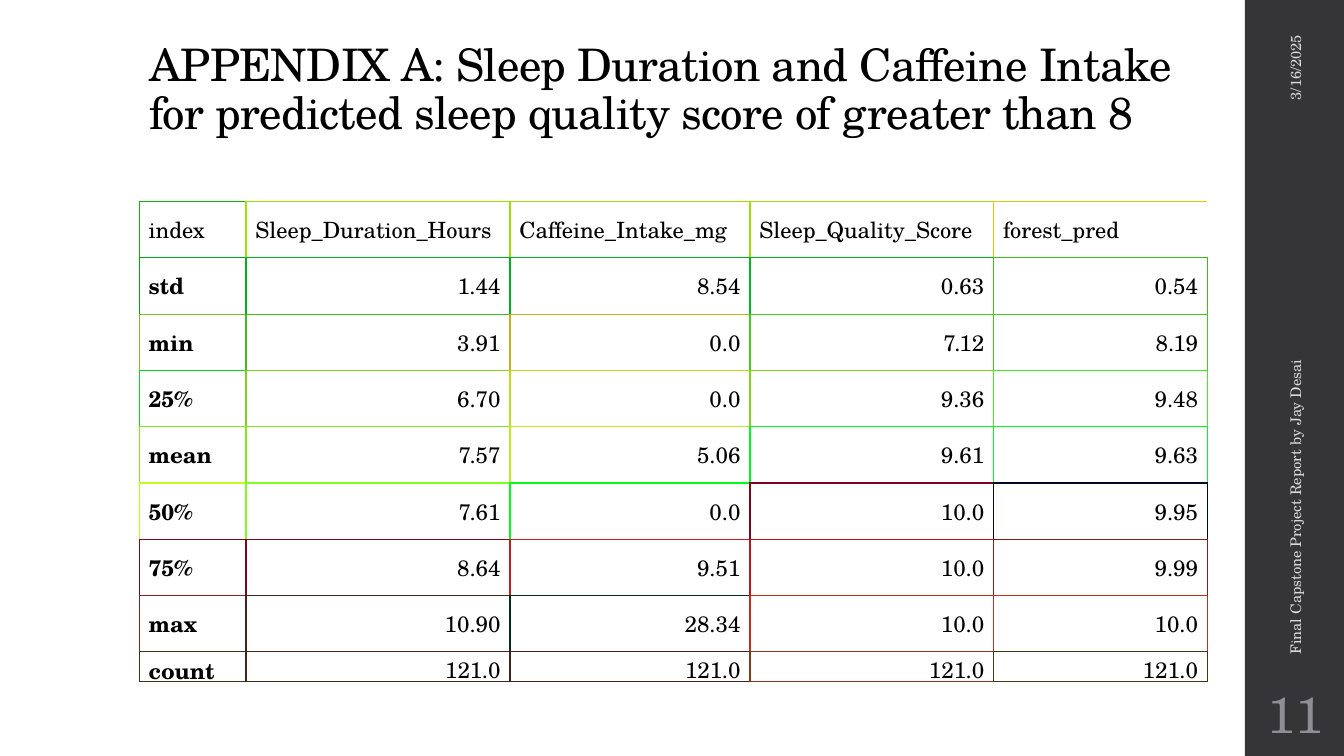
from lxml import etree
from pptx import Presentation
from pptx.dml.color import RGBColor
from pptx.enum import shapes, text
from pptx.oxml import ns
from pptx.util import Pt

FONT = "TeX Gyre Schola"
COLUMN_WIDTHS = [76.3, 188.6, 171.4, 174.2, 152.7]
ROW_HEIGHTS = [40.2] * 8 + [20.9]

STATISTICS = [
    ["index", "Sleep_Duration_Hours", "Caffeine_Intake_mg", "Sleep_Quality_Score", "forest_pred"],
    ["std", "1.44", "8.54", "0.63", "0.54"],
    ["min", "3.91", "0.0", "7.12", "8.19"],
    ["25%", "6.70", "0.0", "9.36", "9.48"],
    ["mean", "7.57", "5.06", "9.61", "9.63"],
    ["50%", "7.61", "0.0", "10.0", "9.95"],
    ["75%", "8.64", "9.51", "10.0", "9.99"],
    ["max", "10.90", "28.34", "10.0", "10.0"],
    ["count", "121.0", "121.0", "121.0", "121.0"],
]

# Each cell's left and top edge; its neighbours give the other two
EDGE_COLOURS = [
    ["10B204", "A0E004", "A0DB04", "A0DB04", "D0CE04"],
    ["00A81D", "00B01D", "00AF1D", "00B81D", "40BC1D"],
    ["80BD1D", "40BC1D", "C0B31D", "40CD1D", "40CB1D"],
    ["00DC1D", "80D21D", "C0DA1D", "80D41D", "40ED1D"],
    ["80E71D", "80EA1D", "C0EB1D", "00F61D", "00F91D"],
    ["C0FD1D", "80FC1D", "00FB1D", "80041E", "000A1E"],
    ["80041E", "80041E", "C01B1E", "C0131E", "801E1E"],
    ["80261E", "40251E", "002E1E", "C02D1C", "C02D1C"],
    ["40301C", "40261C", "40231C", "803B1C", "40371C"],
]


def colour(value):
    return RGBColor.from_string(value)


def write(frame, words, size, ink, align=text.PP_ALIGN.LEFT, bold=False):
    frame.text = words
    paragraph = frame.paragraphs[0]
    paragraph.alignment = align
    font = paragraph.runs[0].font
    font.name, font.size, font.bold = FONT, Pt(size), bold
    font.color.rgb = colour(ink)
    return paragraph


def place(shape, left, top, width, height):
    shape.left, shape.top = Pt(left), Pt(top)
    shape.width, shape.height = Pt(width), Pt(height)


def add_title(slide, words):
    title = slide.shapes.title
    place(title, 99.4, 28.8, 763.2, 74.2)
    frame = title.text_frame
    frame.word_wrap = True
    frame.auto_size = text.MSO_AUTO_SIZE.NONE
    frame.vertical_anchor = text.MSO_ANCHOR.BOTTOM
    paragraph = write(frame, words, 32, "000000")
    paragraph.line_spacing = 0.9
    paragraph.runs[0].font._element.set("spc", "-50")


def add_sidebar(slide):
    sidebar = slide.shapes.add_shape(
        shapes.MSO_SHAPE.RECTANGLE, Pt(889.2), Pt(0), Pt(70.8), Pt(540))
    sidebar.shadow.inherit = False
    sidebar.fill.solid()
    sidebar.fill.fore_color.rgb = colour("353537")
    sidebar.line.fill.background()


def add_label(slide, words, box, size, ink, align, rotation=0, inset=None):
    label = slide.shapes.add_textbox(*map(Pt, box))
    label.rotation = rotation
    frame = label.text_frame
    frame.word_wrap = True
    frame.vertical_anchor = text.MSO_ANCHOR.MIDDLE
    if inset is not None:
        frame.margin_left = frame.margin_right = Pt(inset)
        frame.margin_top = frame.margin_bottom = Pt(inset)
    write(frame, words, size, ink, align)


def add_border(cell, side, ink, width):
    properties = cell._tc.get_or_add_tcPr()
    line = etree.SubElement(properties, ns.qn(f"a:ln{side}"), w=str(Pt(width)))
    fill = etree.SubElement(line, ns.qn("a:solidFill"))
    etree.SubElement(fill, ns.qn("a:srgbClr"), val=ink)


def add_borders(cell, row, column):
    own = EDGE_COLOURS[row][column]
    last_row = row == len(EDGE_COLOURS) - 1
    last_column = column == len(EDGE_COLOURS[row]) - 1
    add_border(cell, "L", own, 1)
    if not last_column:
        add_border(cell, "R", EDGE_COLOURS[row][column + 1], 1)
    elif row > 0:
        add_border(cell, "R", own, 0.5)
    add_border(cell, "T", own, 1)
    if last_row:
        add_border(cell, "B", own, 0.5)
    else:
        add_border(cell, "B", EDGE_COLOURS[row + 1][column], 1)


def add_statistics(slide):
    table = slide.shapes.add_table(
        len(ROW_HEIGHTS), len(COLUMN_WIDTHS), Pt(99.4), Pt(144),
        Pt(sum(COLUMN_WIDTHS)), Pt(sum(ROW_HEIGHTS))).table
    table.first_row = table.horz_banding = False
    for column, width in zip(table.columns, COLUMN_WIDTHS):
        column.width = Pt(width)
    for row, height in zip(table.rows, ROW_HEIGHTS):
        row.height = Pt(height)

    for r, values in enumerate(STATISTICS):
        for c, value in enumerate(values):
            cell = table.cell(r, c)
            add_borders(cell, r, c)
            cell.fill.solid()
            cell.fill.fore_color.rgb = colour("FFFFFF")
            cell.vertical_anchor = text.MSO_ANCHOR.MIDDLE
            cell.margin_left = cell.margin_right = Pt(6.75)
            cell.margin_top = cell.margin_bottom = Pt(0.75)
            is_number = r > 0 and c > 0
            align = text.PP_ALIGN.RIGHT if is_number else text.PP_ALIGN.LEFT
            write(cell.text_frame, value, 16, "000000", align, bold=r > 0 and c == 0)


def main():
    deck = Presentation()
    deck.slide_width, deck.slide_height = Pt(960), Pt(540)
    slide = deck.slides.add_slide(deck.slide_layouts[5])

    # Sidebar with date, footer and slide number
    add_sidebar(slide)
    add_label(slide, "3/16/2025", (850.3, 78.5, 149.8, 28.8), 10.5, "D9D9DB",
              text.PP_ALIGN.RIGHT, rotation=270)
    add_label(slide, "Final Capstone Project Report by Jay Desai", (784.1, 319, 282.2, 28.8),
              10.5, "D9D9DB", text.PP_ALIGN.LEFT, rotation=270)
    add_label(slide, "11", (889.2, 486, 72, 46.8), 36, "8E8E94",
              text.PP_ALIGN.CENTER, inset=3.6)

    # Title and table
    add_title(slide, "APPENDIX A: Sleep Duration and Caffeine Intake "
                     "for predicted sleep quality score of greater than 8")
    add_statistics(slide)
    deck.save("out.pptx")


if __name__ == "__main__":
    main()
